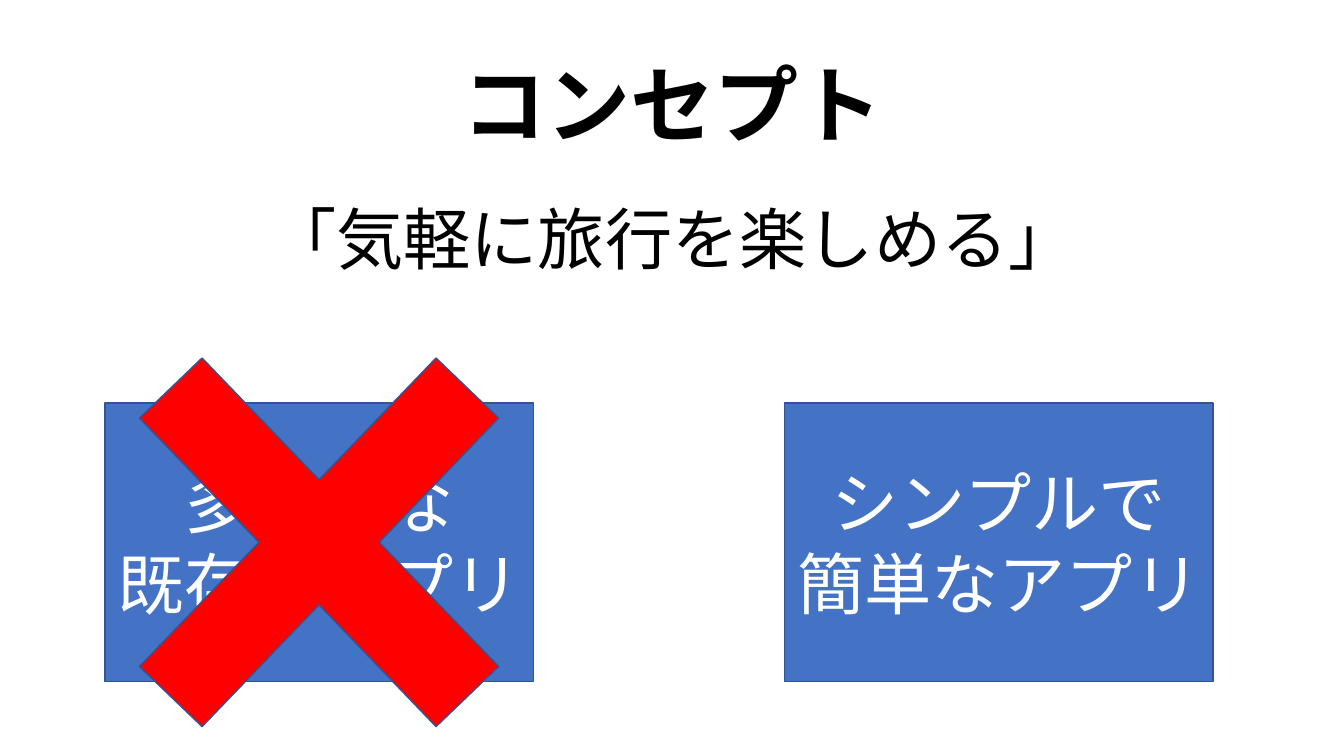
from pptx import Presentation
from pptx.dml.color import RGBColor
from pptx.enum.shapes import MSO_SHAPE
from pptx.enum.text import MSO_ANCHOR, PP_ALIGN
from pptx.util import Inches, Pt
from lxml import etree

RECT, CROSS = MSO_SHAPE.RECTANGLE, MSO_SHAPE.MATH_MULTIPLY
TOP, MIDDLE = MSO_ANCHOR.TOP, MSO_ANCHOR.MIDDLE
CENTER = PP_ALIGN.CENTER
NS = "http://schemas.openxmlformats.org/drawingml/2006/main"

THEME = {
    "font": "Noto Sans CJK JP",
    "title": 60, "body": 48,
    "ink": "000000", "paper": "FFFFFF",
    "card": "4472C4", "edge": "325491", "cross": "FF0000",
}

TITLE = "コンセプト"
MOTTO = "「気軽に旅行を楽しめる」"
CARDS = [
    ["多機能な", "既存のアプリ"],
    ["シンプルで", "簡単なアプリ"],
]

LEFT, STEP, CARD_TOP = 1.04, 6.74, 4
CARD_W, CARD_H = 4.25, 2.76
CROSS_W, CROSS_H, CROSS_ADJ = 5.66, 5.89, 0.152


def write(frame, lines, size, color, anchor, bold=False, before=0, space=1.0):
    frame.word_wrap = True
    frame.vertical_anchor = anchor
    for i, line in enumerate(lines):
        para = frame.add_paragraph() if i else frame.paragraphs[0]
        para.alignment = CENTER
        para.line_spacing = space
        para.space_before = Pt(before)
        run = para.add_run()
        run.text = line
        font = run.font
        font.size, font.bold, font.name = Pt(size), bold, THEME["font"]
        font.color.rgb = RGBColor.from_string(color)
        east = etree.SubElement(run._r.get_or_add_rPr(), f"{{{NS}}}ea")
        east.set("typeface", THEME["font"])


def add_text(slide, box, *args, **kw):
    text = slide.shapes.add_textbox(*map(Inches, box))
    write(text.text_frame, *args, space=0.9, **kw)


def add_shape(slide, kind, box, fill):
    shape = slide.shapes.add_shape(kind, *map(Inches, box))
    shape.shadow.inherit = False
    shape.fill.solid()
    shape.fill.fore_color.rgb = RGBColor.from_string(fill)
    shape.line.color.rgb = RGBColor.from_string(THEME["edge"])
    shape.line.width = Pt(1)
    return shape


def main():
    deck = Presentation()
    deck.slide_width, deck.slide_height = Inches(13.33), Inches(7.5)
    slide = deck.slides.add_slide(deck.slide_layouts[6])

    add_text(slide, (0.92, 2, 11.5, 4.76), [MOTTO],
             THEME["body"], THEME["ink"], TOP, before=10)
    add_text(slide, (0.92, 0.36, 11.5, 1.45), [TITLE],
             THEME["title"], THEME["ink"], MIDDLE, bold=True)

    for i, lines in enumerate(CARDS):
        box = (LEFT + i * STEP, CARD_TOP, CARD_W, CARD_H)
        card = add_shape(slide, RECT, box, THEME["card"])
        write(card.text_frame, lines, THEME["body"], THEME["paper"], MIDDLE)

    box = (LEFT + (CARD_W - CROSS_W) / 2, CARD_TOP + (CARD_H - CROSS_H) / 2,
           CROSS_W, CROSS_H)
    cross = add_shape(slide, CROSS, box, THEME["cross"])
    cross.adjustments[0] = CROSS_ADJ

    deck.save("out.pptx")


if __name__ == "__main__":
    main()
